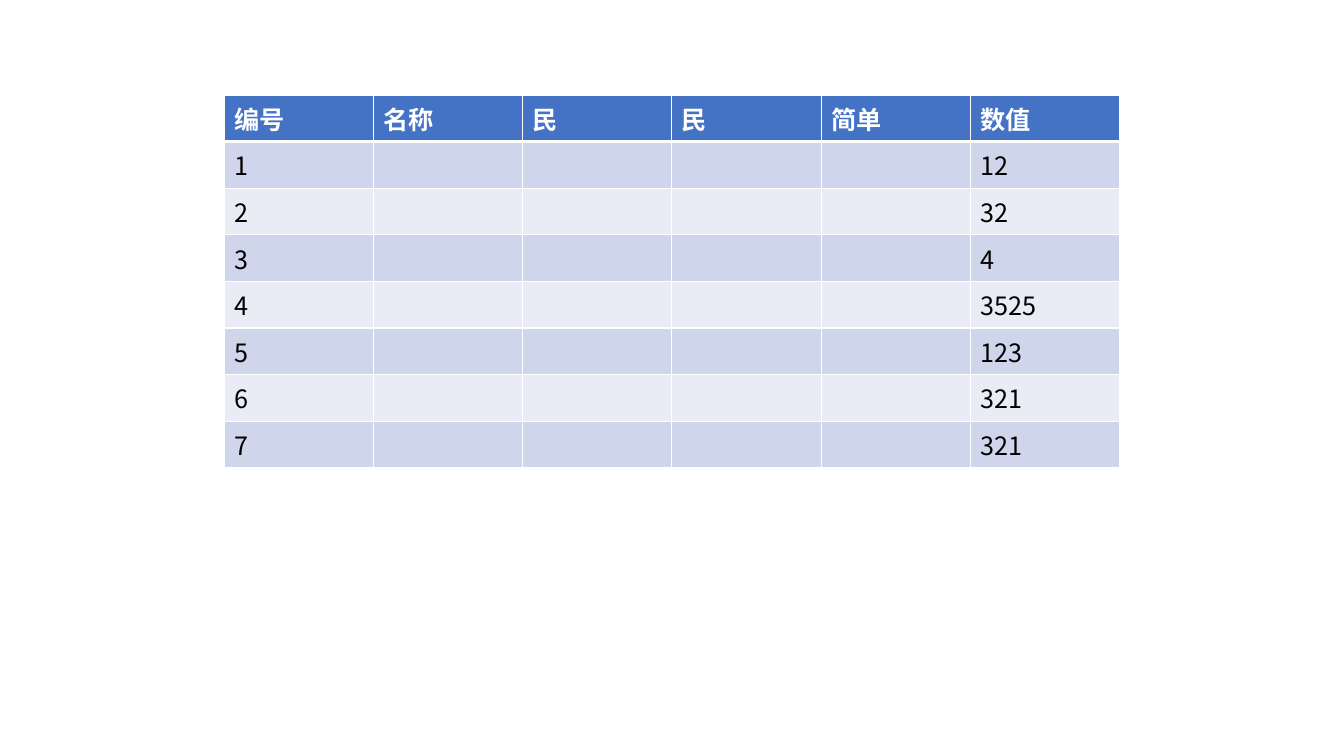
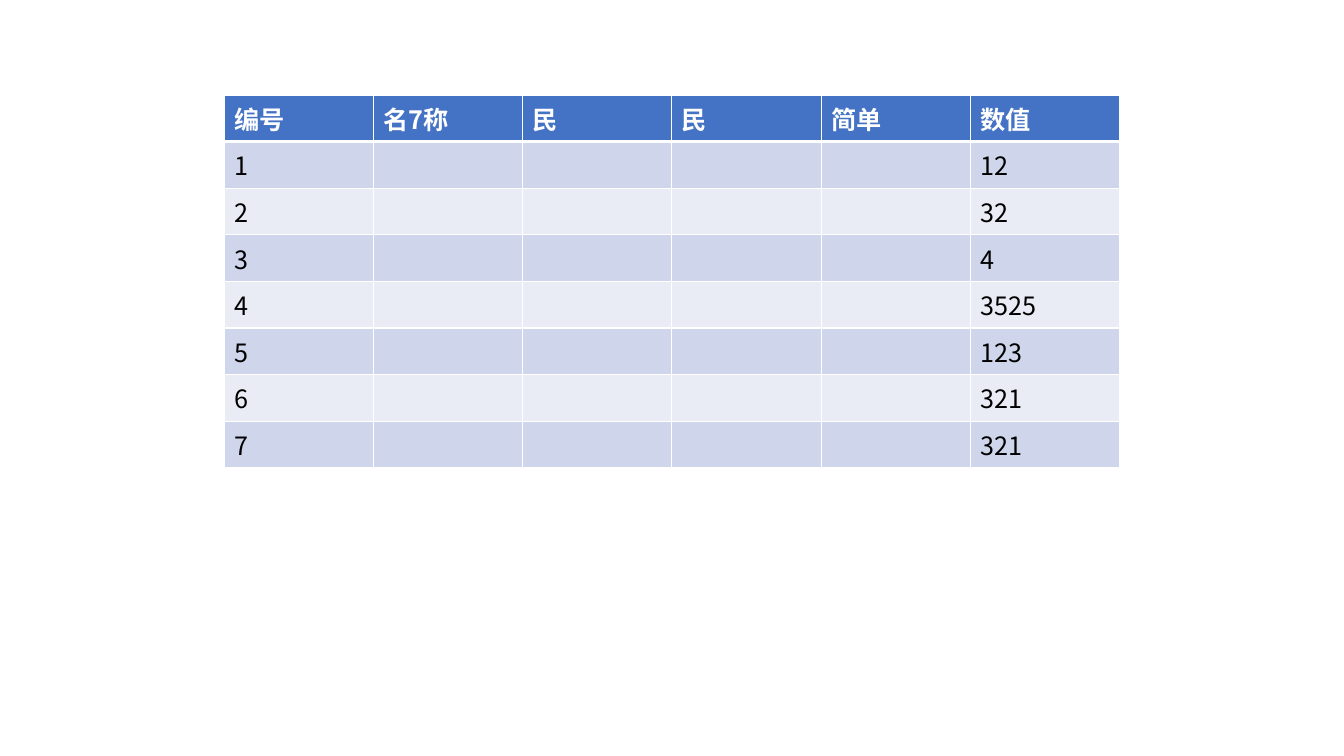
"""Build two slides, each holding one banded table of numbered values."""
import pptx
import pptx.dml.color
import pptx.oxml.ns
import pptx.util
from lxml import etree

NAMES = ["名称", "名7称"]
VALUES = [12, 32, 4, 3525, 123, 321, 321]

COLORS = {
    "header": "4472C4",
    "odd": "CFD5EA",
    "even": "E9EBF5",
    "line": "FFFFFF",
    "header_text": "FFFFFF",
    "body_text": "000000",
}
FONT, FONT_PT = "Noto Sans CJK SC", 18
THIN_PT, THICK_PT = 1, 3
SLIDE_W, SLIDE_H = 1344, 756
TABLE_W, TABLE_TOP, ROW_H = 896, 95, 41
TABLE_LEFT = (SLIDE_W - TABLE_W) // 2


def px(n):
    return pptx.util.Emu(round(n * 12192000 / SLIDE_W))


def rgb(name):
    return pptx.dml.color.RGBColor.from_string(COLORS[name])


def set_borders(cell, top, bottom):
    qn = pptx.oxml.ns.qn
    tcPr = cell._tc.get_or_add_tcPr()
    widths = {"lnL": THIN_PT, "lnR": THIN_PT, "lnT": top, "lnB": bottom}
    for i, (side, width) in enumerate(widths.items()):
        ln = etree.Element(qn(f"a:{side}"), w=str(pptx.util.Pt(width)))
        fill = etree.SubElement(ln, qn("a:solidFill"))
        etree.SubElement(fill, qn("a:srgbClr"), val=COLORS["line"])
        tcPr.insert(i, ln)


def write(cell, text, color, bold):
    r = cell.text_frame.paragraphs[0].add_run()
    r.text = text
    r.font.size = pptx.util.Pt(FONT_PT)
    r.font.bold = bold
    r.font.color.rgb = rgb(color)
    r.font.name = FONT
    etree.SubElement(r.font._element, pptx.oxml.ns.qn("a:ea"), typeface=FONT)


def add_value_table(s, rows):
    n_rows, n_cols = len(rows), len(rows[0])
    table = s.shapes.add_table(n_rows, n_cols, px(TABLE_LEFT), px(TABLE_TOP),
                               px(TABLE_W), px(ROW_H * n_rows)).table
    for column in table.columns:
        column.width = px(TABLE_W / n_cols)
    for i, row in enumerate(rows):
        table.rows[i].height = px(ROW_H)
        is_header = i == 0
        band = "header" if is_header else "odd" if i % 2 else "even"
        for j, text in enumerate(row):
            cell = table.cell(i, j)
            cell.fill.solid()
            cell.fill.fore_color.rgb = rgb(band)
            set_borders(cell, THICK_PT if i == 1 else THIN_PT,
                        THICK_PT if is_header else THIN_PT)
            if text:
                write(cell, text, "header_text" if is_header else "body_text", is_header)


def main():
    prs = pptx.Presentation()
    prs.slide_width, prs.slide_height = px(SLIDE_W), px(SLIDE_H)
    body = [[str(n), "", "", "", "", str(value)] for n, value in enumerate(VALUES, 1)]
    for name in NAMES:
        s = prs.slides.add_slide(prs.slide_layouts[6])
        header = ["编号", name, "民", "民", "简单", "数值"]
        add_value_table(s, [header] + body)
    prs.save("out.pptx")


if __name__ == "__main__":
    main()
